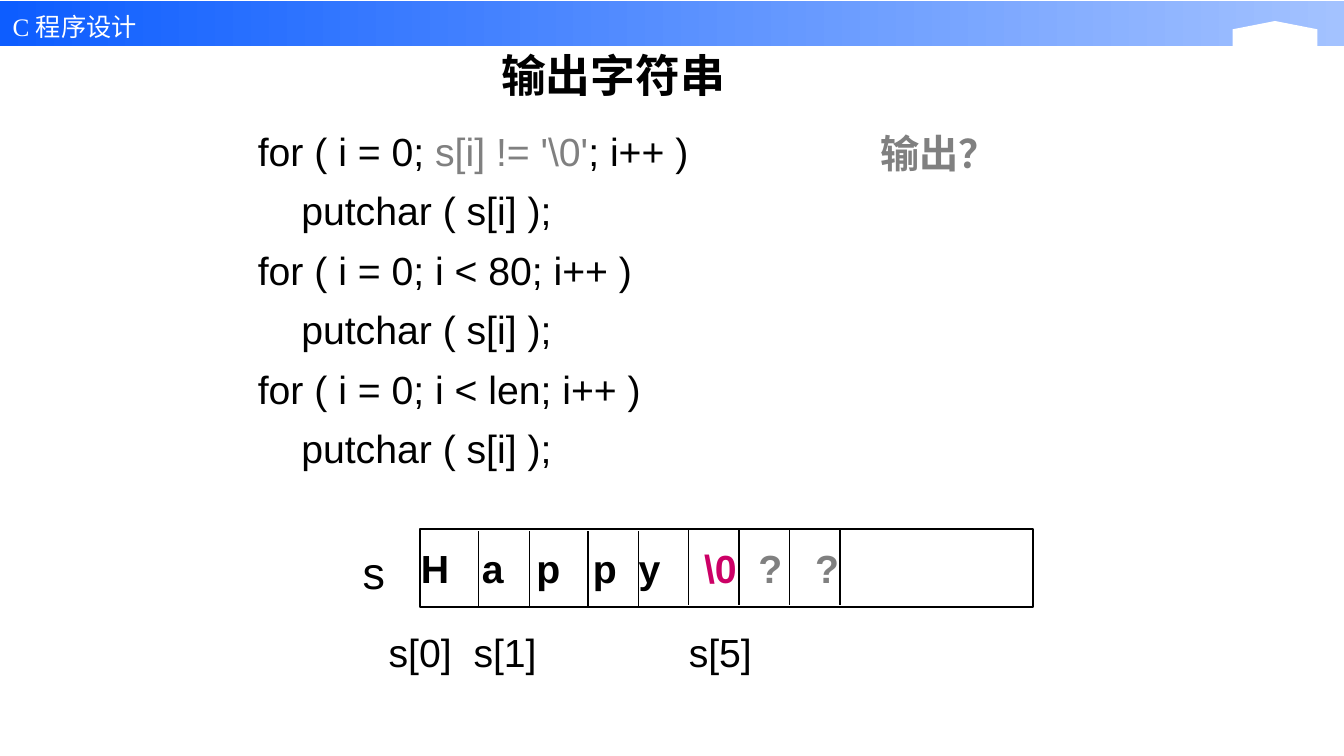
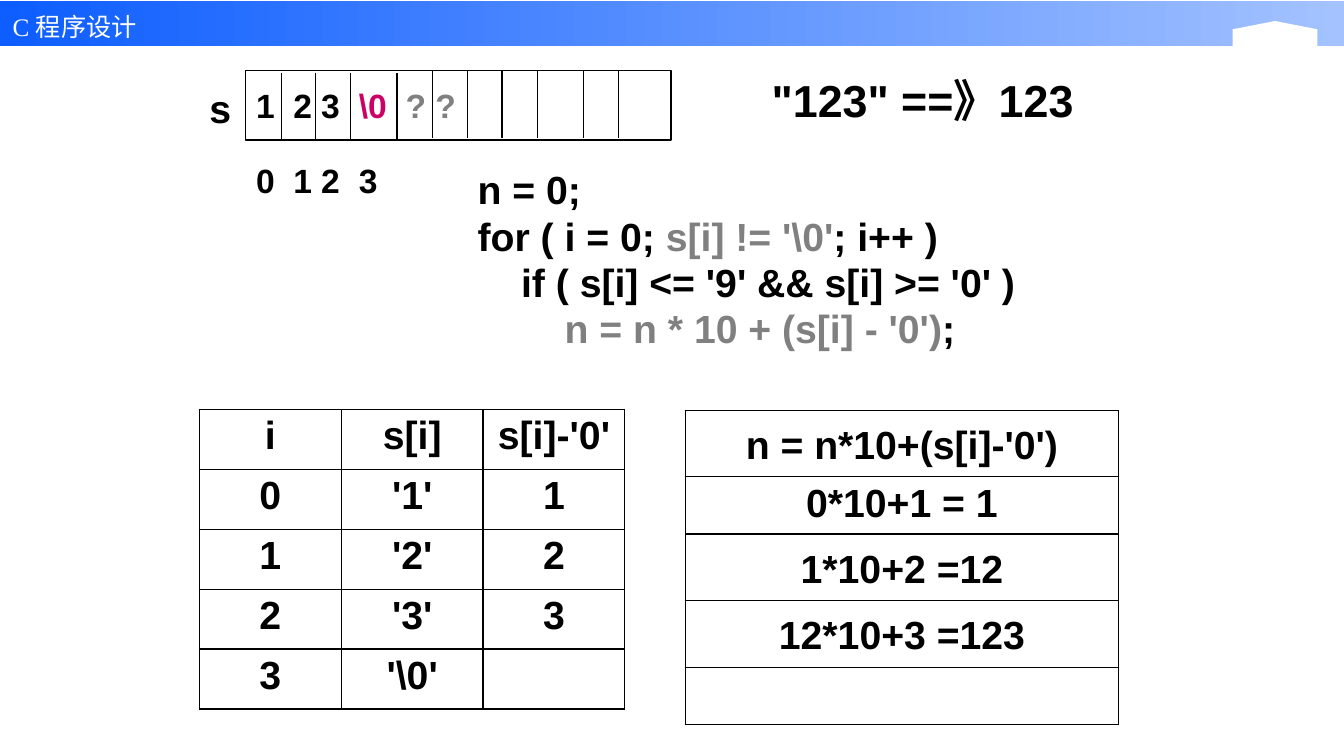
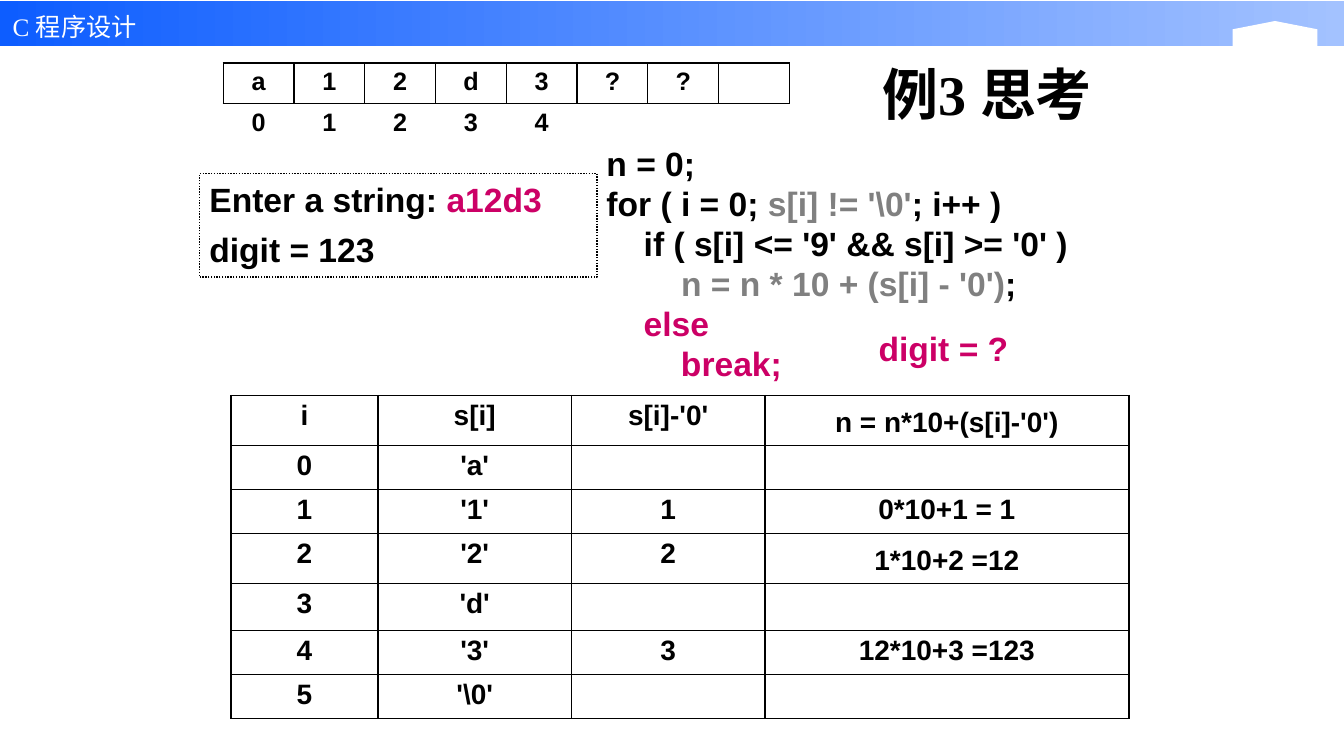
from dataclasses import dataclass

from lxml import etree
from pptx import Presentation
from pptx.dml.color import RGBColor
from pptx.enum import dml, shapes, text
from pptx.oxml import ns
from pptx.util import Pt


@dataclass(frozen=True)
class Theme:
    black: str = "000000"
    white: str = "FFFFFF"
    grey: str = "808080"
    pink: str = "CC0066"
    band_start: str = "0D5DFF"
    band_end: str = "A3C2FF"
    sans: str = "Arial"
    serif: str = "Times New Roman"
    headline: int = 40
    title: int = 32
    large: int = 28
    medium: int = 24
    small: int = 20
    tiny: int = 18


theme = Theme()
rgb = RGBColor.from_string
TOP, MIDDLE = text.MSO_ANCHOR.TOP, text.MSO_ANCHOR.MIDDLE
CENTER = text.PP_ALIGN.CENTER


def write(frame, lines, *, size, color=theme.black, font=theme.sans, bold=True,
          align=None, spacing=None, before=0, margin=0, hanging=0, anchor=TOP):
    """Fill a frame; a line is a string or a list of strings and (string, colour) pairs."""
    if anchor is not None:
        frame.word_wrap = True
        frame.auto_size = text.MSO_AUTO_SIZE.NONE
        frame.vertical_anchor = anchor
    for number, line in enumerate(lines):
        paragraph = frame.add_paragraph() if number else frame.paragraphs[0]
        properties = paragraph._p.get_or_add_pPr()
        properties.set("marL", str(Pt(margin)))
        properties.set("indent", str(Pt(-hanging)))
        etree.SubElement(properties, ns.qn("a:buNone"))
        paragraph.alignment = align
        paragraph.line_spacing = spacing
        paragraph.space_before = Pt(before if number else 0)
        for part in [line] if isinstance(line, str) else line:
            words, shade = (part, color) if isinstance(part, str) else part
            run = paragraph.add_run()
            run.text = words
            run.font.size, run.font.name, run.font.bold = Pt(size), font, bold
            run.font.color.rgb = rgb(shade)


def points(*lengths):
    return [Pt(length) for length in lengths]


deck = Presentation()
deck.slide_width, deck.slide_height = points(960, 540)
layout = deck.slide_layouts[1]
output, convert, think = [deck.slides.add_slide(layout) for _ in range(3)]

# Header band, moved to the layout that all slides share
band = output.shapes.add_shape(shapes.MSO_SHAPE.RECTANGLE, *points(0, 0.7, 960, 32))
band.fill.gradient()
band.fill.gradient_angle = 0
for stop, shade in zip(band.fill.gradient_stops, (theme.band_start, theme.band_end)):
    stop.color.rgb = rgb(shade)
notch = output.shapes.add_shape(shapes.MSO_SHAPE.FLOWCHART_OFFPAGE_CONNECTOR,
                                *points(880.5, 15, 60.5, 29.5))
notch.rotation = 180
notch.fill.solid()
notch.fill.fore_color.rgb = rgb(theme.white)
for part in (band, notch):
    part.line.fill.background()
    part.shadow.inherit = False
course = output.shapes.add_textbox(*points(2, 0, 334, 31))
write(course.text_frame, ["C 程序设计"], size=theme.tiny, font=theme.serif,
      color=theme.white, bold=False, spacing=1.2)
for part in (band, notch, course):
    layout.shapes.element.append(part.element)

# Titles
for slide, place, words, style in (
    (output, (276, 20, 324, 66), "输出字符串", dict(size=theme.title)),
    (convert, (497, 39.5, 324, 54), '"123" ==》123', dict(size=theme.title, spacing=1.24)),
    (think, (587, 34, 236, 54), "例3 思考",
     dict(size=theme.headline, font=theme.serif, spacing=1.24)),
):
    heading = slide.shapes.title
    heading.left, heading.top, heading.width, heading.height = points(*place)
    write(heading.text_frame, [words], align=CENTER, anchor=MIDDLE, **style)

# Code listings
not_end = ("s[i] != '\\0'", theme.grey)
put = "    putchar ( s[i] );"
print_loops = [["for ( i = 0; ", not_end, "; i++ )"], put,
               "for ( i = 0; i < 80; i++ )", put,
               "for ( i = 0; i < len; i++ )", put]
digit_loop = ["n = 0;",
              ["for ( i = 0; ", not_end, "; i++ )"],
              "    if ( s[i] <= '9' && s[i] >= '0' )",
              ["        ", ("n = n * 10 + (s[i] - '0')", theme.grey), ";"]]
stop_branch = [[("    else", theme.pink)], [("        break;", theme.pink)]]
for slide, place, lines, style in (
    (output, (149.5, 84, 410, 282), print_loops,
     dict(size=theme.large, bold=False, spacing=1.1, before=5.5, margin=44, hanging=16.5)),
    (convert, (334, 118.5, 467, 158), digit_loop,
     dict(size=theme.large, spacing=0.9, before=2.8, margin=20, hanging=20)),
    (think, (426, 101.8, 392, 174), digit_loop + stop_branch,
     dict(size=theme.medium, spacing=0.9, before=2.6, margin=20, hanging=20)),
):
    code = slide.placeholders[1]
    code.left, code.top, code.width, code.height = points(*place)
    write(code.text_frame, lines, **style)

# Character arrays: a frame with dividers, the first four set a little lower
for slide, place, height, dividers in (
    (output, (300, 378, 438, 55.5), 54, (342, 378, 420, 456, 492, 528, 564, 600)),
    (convert, (175.5, 50.5, 304, 49.5), 48,
     (201, 225.5, 250.5, 283.5, 309, 334, 358.5, 384, 417, 442)),
):
    array = slide.shapes.add_shape(shapes.MSO_SHAPE.RECTANGLE, *points(*place))
    array.fill.background()
    array.line.color.rgb = rgb(theme.black)
    array.line.width = Pt(1)
    array.shadow.inherit = False
    for number, x in enumerate(dividers):
        y = place[1] + (1.5 if number < 4 else 0)
        divider = slide.shapes.add_connector(shapes.MSO_CONNECTOR.STRAIGHT,
                                             *points(x, y, x, y + height))
        divider.line.color.rgb = rgb(theme.black)
        divider.line.width = Pt(1)
        etree.SubElement(divider.element.spPr, ns.qn("a:effectLst"))

# Array contents and indexes, each mark at its own left edge
shades = {"\\0": theme.pink, "?": theme.grey}
digit_edges = (182.9, 209.5, 229.5, 256.3, 289.7, 311)
for slide, top, edges, marks, style in (
    (output, 385.5, (300.7, 344.2, 383.1, 423.5, 456.2, 502.9, 541.8, 582.2),
     ("H", "a", "p", "p", "y", "\\0", "?", "?"), dict(size=theme.large)),
    (output, 445.5, (277.6, 338.3, 492), ("s[0]", "s[1]", "s[5]"),
     dict(size=theme.large, bold=False)),
    (convert, 57, digit_edges, ("1", "2", "3", "\\0", "?", "?"), dict(size=theme.medium)),
    (convert, 110.5, digit_edges, ("0", "1", "2", "3"), dict(size=theme.medium)),
):
    for edge, mark in zip(edges, marks):
        entry = slide.shapes.add_textbox(*points(edge, top, 50, 40))
        entry.text_frame.margin_left = entry.text_frame.margin_right = 0
        write(entry.text_frame, [mark], color=shades.get(mark, theme.black), **style)

# Array names and remarks
for slide, place, words, style in (
    (output, (252, 385.5, 42, 46), "s", dict(size=theme.title, bold=False)),
    (output, (622, 89, 130, 41), "输出？", dict(size=theme.large, color=theme.grey)),
    (convert, (142.5, 57, 29, 41), "s", dict(size=theme.large)),
    (think, (620.5, 230.5, 118, 37), "digit = ?",
     dict(size=theme.medium, color=theme.pink)),
):
    label = slide.shapes.add_textbox(*points(*place))
    write(label.text_frame, [words], **style)

# Sample run
sample = think.shapes.add_textbox(*points(142.5, 124, 284, 74))
sample.line.color.rgb = rgb(theme.black)
sample.line.width = Pt(1)
sample.line.dash_style = dml.MSO_LINE.ROUND_DOT
write(sample.text_frame, [["Enter a string: ", ("a12d3", theme.pink)], "digit = 123"],
      size=theme.medium, before=7.5)

# Tables: cells in tall_cells have wider line spacing, rows from open_row on no borders
formula = "n = n*10+(s[i]-'0')"
steps = ["0*10+1 = 1", "1*10+2 =12", "12*10+3 =123"]
for slide, corner, widths, heights, size, tall_cells, open_row, rows in (
    (convert, (142.5, 292.5), [101.3] * 3, [42.8] * 5, theme.large, (), 5,
     [["i", "s[i]", "s[i]-'0'"], ["0", "'1'", "1"], ["1", "'2'", "2"],
      ["2", "'3'", "3"], ["3", "'\\0'", ""]]),
    (convert, (489.5, 293), [309.5], [47.6, 40.9, 47.6, 47.6, 40.7], theme.large,
     (formula, *steps[1:]), 5, [[formula], *[[step] for step in steps], [""]]),
    (think, (159.5, 45), [50.55] * 8, [28.8] * 2, theme.tiny, (), 1,
     [["a", "1", "2", "d", "3", "?", "?", ""], ["0", "1", "2", "3", "4", "", "", ""]]),
    (think, (165, 282.5), [105, 138.2, 138.2, 260],
     [35.8, 31.4, 31.4, 35.8, 33.6, 31.4, 31.4], theme.small, (formula, steps[1]), 7,
     [["i", "s[i]", "s[i]-'0'", formula], ["0", "'a'", "", ""],
      ["1", "'1'", "1", steps[0]], ["2", "'2'", "2", steps[1]], ["3", "'d'", "", ""],
      ["4", "'3'", "3", steps[2]], ["5", "'\\0'", "", ""]]),
):
    table = slide.shapes.add_table(
        len(rows), len(widths), *points(*corner, sum(widths), sum(heights))).table
    table.first_row = table.horz_banding = False
    for column, width in zip(table.columns, widths):
        column.width = Pt(width)
    for number, (row, height, values) in enumerate(zip(table.rows, heights, rows)):
        row.height = Pt(height)
        for cell, value in zip(row.cells, values):
            if value:
                write(cell.text_frame, [value], size=size, align=CENTER, anchor=None,
                      spacing=1.2 if value in tall_cells else None)
            borders = cell._tc.get_or_add_tcPr()
            for side in ("lnL", "lnR", "lnT", "lnB"):
                edge = etree.SubElement(borders, ns.qn("a:" + side), w=str(Pt(1)))
                if number < open_row or (number == open_row and side == "lnT"):
                    ink = etree.SubElement(edge, ns.qn("a:solidFill"))
                    etree.SubElement(ink, ns.qn("a:srgbClr"), val=theme.black)
                else:
                    etree.SubElement(edge, ns.qn("a:noFill"))
            cell.fill.background()

deck.save("out.pptx")
